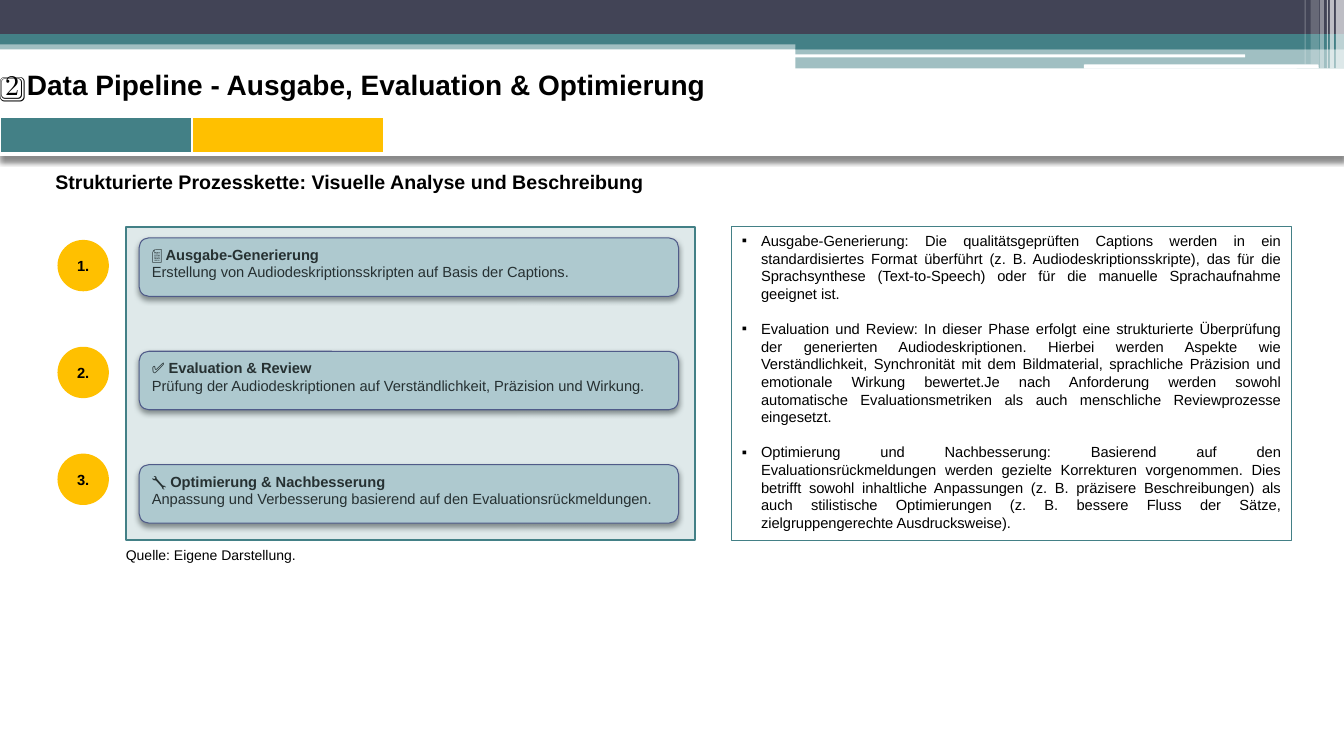
from lxml import etree
from pptx import Presentation
from pptx.dml.color import RGBColor
from pptx.enum.shapes import MSO_SHAPE as Preset
from pptx.enum.text import MSO_ANCHOR as Anchor, PP_ALIGN as Align
from pptx.oxml import parse_xml
from pptx.oxml.ns import nsdecls, qn
from pptx.util import Inches, Pt

COLORS = {
    "black": "000000", "white": "FFFFFF", "navy": "424456", "teal": "438086",
    "amber": "FFC000", "card": "C4D8DF", "indigo": "53548A", "ink": "212121",
}


def add_panel(shapes, preset, box, fill=None, alpha=100, line=None, width=0.75):
    """Add a shape without shadow; alpha is the opacity of the fill in percent."""
    shape = shapes.add_shape(preset, *[Inches(length) for length in box])
    shape.shadow.inherit = False
    if fill:
        shape.fill.solid()
        shape.fill.fore_color.rgb = RGBColor.from_string(COLORS[fill])
        if alpha < 100:
            color = shape.fill._xPr.find(qn("a:solidFill"))[0]
            etree.SubElement(color, qn("a:alpha"), val=str(alpha * 1000))
    else:
        shape.fill.background()
    if line:
        shape.line.color.rgb = RGBColor.from_string(COLORS[line])
        shape.line.width = Pt(width)
    else:
        shape.line.fill.background()
    return shape


def add_run(paragraph, text, size, bold=False, color="black", align=Align.LEFT):
    paragraph.alignment = align
    run = paragraph.add_run()
    run.text = text
    run.font.name = "Arial"
    run.font.size = Pt(size)
    run.font.bold = bold
    run.font.color.rgb = RGBColor.from_string(COLORS[color])


presentation = Presentation()
presentation.slide_width = Inches(13.33)
presentation.slide_height = Inches(7.5)
slide = presentation.slides.add_slide(presentation.slide_layouts[6])
shapes = slide.shapes

# Header bands and stripes
bands = [
    (Preset.RECTANGLE, (0, 0.4, 13.33, 0.09), "teal", 50),
    (Preset.RECTANGLE, (0, 0, 13.33, 0.34), "navy", 100),
    (Preset.RECTANGLE, (0, 0.34, 13.33, 0.1), "teal", 100),
    (Preset.RECTANGLE, (7.89, 0.39, 5.44, 0.1), "teal", 100),
    (Preset.RECTANGLE, (7.89, 0.48, 5.44, 0.2), "teal", 50),
    (Preset.ROUNDED_RECTANGLE, (7.88, 0.54, 4.47, 0.03), "white", 100),
    (Preset.ROUNDED_RECTANGLE, (10.75, 0.64, 2.33, 0.04), "white", 100),
]
stripes = [
    (13.25, 0.08, 0.68, 65), (13.19, 0.04, 0.68, 65), (13.16, 0.01, 0.68, 60),
    (13.09, 0.04, 0.68, 40), (13, 0.08, 0.64, 20), (12.94, 0.01, 0.64, 30),
]
bands += [(Preset.RECTANGLE, (left, 0, width, height), "white", alpha)
          for left, width, height, alpha in stripes]
for preset, box, fill, alpha in bands:
    add_panel(shapes, preset, box, fill, alpha)

# Progress bar
shadow_xml = (
    f'<a:effectLst {nsdecls("a")}><a:outerShdw blurRad="50800" dist="%d" dir="5400000" '
    'algn="t" rotWithShape="0"><a:srgbClr val="000000"><a:alpha val="%d"/></a:srgbClr>'
    '</a:outerShdw></a:effectLst>'
)
steps = ["teal", "amber"] + ["white"] * 5
table = shapes.add_table(1, len(steps), Inches(0), Inches(1.16),
                         Inches(13.33), Inches(0.37)).table
table.first_row = table.horz_banding = False
table._tbl.tblPr.insert(0, parse_xml(shadow_xml % (38100, 45000)))
for cell, fill in zip(table.rows[0].cells, steps):
    cell.fill.solid()
    cell.fill.fore_color.rgb = RGBColor.from_string(COLORS[fill])
    cell.text_frame.paragraphs[0].font.size = Pt(10)
    properties = cell._tc.get_or_add_tcPr()
    for index, (side, points) in enumerate([("L", 1), ("R", 1), ("T", 1), ("B", 3)]):
        properties.insert(index, parse_xml(
            f'<a:ln{side} {nsdecls("a")} w="{Pt(points)}"><a:solidFill>'
            f'<a:srgbClr val="{COLORS["white"]}"/></a:solidFill></a:ln{side}>'))

# Title, subtitle and source line
labels = [
    ((0, 0.52, 13.33, 0.63), "2️⃣ Data Pipeline - Ausgabe, Evaluation & Optimierung",
     20, True, Anchor.MIDDLE, 0.05),
    ((0.45, 1.64, 8.9, 0.34), "Strukturierte Prozesskette: Visuelle Analyse und Beschreibung",
     14, True, Anchor.TOP, 0.1),
    ((1.15, 5.37, 3.69, 0.27), "Quelle: Eigene Darstellung.", 10, False, Anchor.TOP, 0.1),
]
for box, text, size, bold, anchor, inset in labels:
    frame = shapes.add_textbox(*[Inches(length) for length in box]).text_frame
    frame.word_wrap = True
    frame.vertical_anchor = anchor
    frame.margin_left = Inches(inset)
    add_run(frame.paragraphs[0], text, size, bold)

# Process chain: cards under a translucent frame, numbers at the left
cards = [
    ("📄 Ausgabe-Generierung",
     "Erstellung von Audiodeskriptionsskripten auf Basis der Captions."),
    ("✅ Evaluation & Review",
     "Prüfung der Audiodeskriptionen auf Verständlichkeit, Präzision und Wirkung."),
    ("🔧 Optimierung & Nachbesserung",
     "Anpassung und Verbesserung basierend auf den Evaluationsrückmeldungen."),
]
chain = shapes.add_group_shape().shapes
for index, (heading, description) in enumerate(cards):
    card = add_panel(chain, Preset.ROUNDED_RECTANGLE,
                     (1.38, 2.36 + 1.125 * index, 5.35, 0.58), "card", line="indigo")
    card_properties = card._element.spPr
    card_properties.replace(card_properties.find(qn("a:effectLst")),
                            parse_xml(shadow_xml % (25400, 45000)))
    frame = card.text_frame
    frame.vertical_anchor = Anchor.TOP
    add_run(frame.paragraphs[0], heading, 10.5, True, "ink")
    add_run(frame.add_paragraph(), description, 10.5, False, "ink")

    number = add_panel(shapes, Preset.OVAL, (0.57, 2.38 + 1.06 * index, 0.51, 0.51), "amber")
    frame = number.text_frame
    frame.margin_left = frame.margin_right = 0
    frame.vertical_anchor = Anchor.MIDDLE
    add_run(frame.paragraphs[0], f"{index + 1}.", 10.5, True, align=Align.CENTER)
add_panel(chain, Preset.RECTANGLE, (1.25, 2.25, 5.64, 3.11), "teal", 17, "teal", 1.5)

# Explanations
explanations = [
    "Ausgabe-Generierung: Die qualitätsgeprüften Captions werden in ein standardisiertes "
    "Format überführt (z. B. Audiodeskriptionsskripte), das für die Sprachsynthese "
    "(Text-to-Speech) oder für die manuelle Sprachaufnahme geeignet ist.",
    "Evaluation und Review: In dieser Phase erfolgt eine strukturierte Überprüfung der "
    "generierten Audiodeskriptionen. Hierbei werden Aspekte wie Verständlichkeit, "
    "Synchronität mit dem Bildmaterial, sprachliche Präzision und emotionale Wirkung "
    "bewertet.Je nach Anforderung werden sowohl automatische Evaluationsmetriken als auch "
    "menschliche Reviewprozesse eingesetzt.",
    "Optimierung und Nachbesserung: Basierend auf den Evaluationsrückmeldungen werden "
    "gezielte Korrekturen vorgenommen. Dies betrifft sowohl inhaltliche Anpassungen "
    "(z. B. präzisere Beschreibungen) als auch stilistische Optimierungen (z. B. bessere "
    "Fluss der Sätze, zielgruppengerechte Ausdrucksweise).",
]
frame = add_panel(shapes, Preset.RECTANGLE, (7.26, 2.25, 5.55, 3.11), line="teal").text_frame
frame.vertical_anchor = Anchor.TOP
for index, text in enumerate(explanations):
    paragraph = frame.add_paragraph() if index else frame.paragraphs[0]
    properties = paragraph._p.get_or_add_pPr()
    properties.set("marL", str(Inches(0.19)))
    properties.set("indent", str(Inches(-0.19)))
    etree.SubElement(properties, qn("a:buFont"), typeface="Arial")
    etree.SubElement(properties, qn("a:buChar"), char="▪")
    if index:
        paragraph.space_before = Pt(12.6)
    add_run(paragraph, text, 10.5, align=Align.JUSTIFY)

presentation.save("out.pptx")
